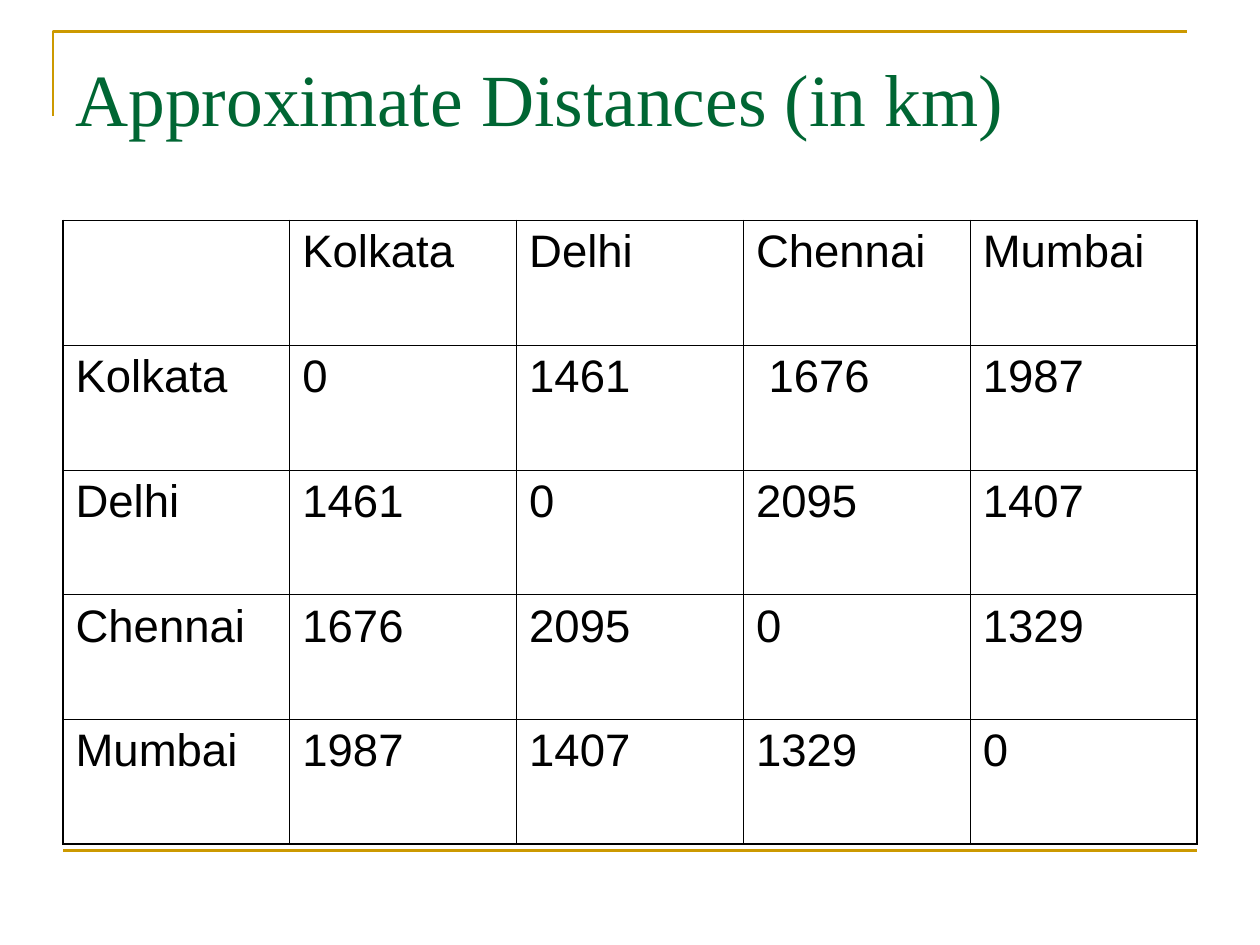
from lxml import etree
from pptx import Presentation
from pptx import util as u
from pptx.dml.color import RGBColor
from pptx.enum import shapes, text
from pptx.oxml import ns

GOLD, GREEN, BLACK = "CC9900", "006633", "000000"
OUTER, INNER = 1.08, 0.45  # border widths in points


def write(frame, words, font, size, color, top=0.05):
    frame.word_wrap = True
    frame.vertical_anchor = text.MSO_ANCHOR.TOP
    frame.margin_left = frame.margin_right = u.Inches(0.1)
    frame.margin_top, frame.margin_bottom = u.Inches(top), u.Inches(0.05)
    run = frame.paragraphs[0].add_run()
    run.text = words
    run.font.name, run.font.size = font, u.Pt(size)
    run.font.color.rgb = RGBColor.from_string(color)


def add_border(cell, side, points):
    """Draw one side of a cell; side is L, R, T or B, given in that order."""
    line = etree.SubElement(cell._tc.get_or_add_tcPr(), ns.qn(f"a:ln{side}"),
                            w=str(int(u.Pt(points))))
    fill = etree.SubElement(line, ns.qn("a:solidFill"))
    etree.SubElement(fill, ns.qn("a:srgbClr"), val=BLACK)


deck = Presentation()
deck.slide_width, deck.slide_height = u.Inches(10), u.Inches(7.5)
slide = deck.slides.add_slide(deck.slide_layouts[6])
W, H = deck.slide_width, deck.slide_height
left, width = int(W * 0.05), int(W * 0.9)

# Gold rules around the page
outline = slide.shapes.build_freeform(u.Inches(0.42), u.Inches(0.92))
outline.add_line_segments([(u.Inches(0.42), u.Inches(0.25)),
                           (u.Inches(9.42), u.Inches(0.25))], close=False)
corner = outline.convert_to_shape()
corner.shadow.inherit = False
corner.fill.background()
footer = slide.shapes.add_connector(shapes.MSO_CONNECTOR.STRAIGHT,
                                    left, int(H * 0.9), left + width, int(H * 0.9))
etree.SubElement(footer._element.spPr, ns.qn("a:effectLst"))
for rule in (corner, footer):
    rule.line.color.rgb = RGBColor.from_string(GOLD)
    rule.line.width = u.Pt(1.5)

title = slide.shapes.add_textbox(left, int(H * 0.04), width, u.Inches(1.25))
write(title.text_frame, "Approximate Distances (in km)", "Times New Roman", 42, GREEN,
      top=0.12)

# Distance table
distances = [
    ["", "Kolkata", "Delhi", "Chennai", "Mumbai"],
    ["Kolkata", "0", "1461", " 1676", "1987"],
    ["Delhi", "1461", "0", "2095", "1407"],
    ["Chennai", "1676", "2095", "0", "1329"],
    ["Mumbai", "1987", "1407", "1329", "0"],
]
last = len(distances) - 1
grid = slide.shapes.add_table(last + 1, last + 1, left, u.Inches(1.75),
                              width, u.Inches(4.95)).table
grid.first_row = grid.horz_banding = False
for r, row in enumerate(distances):
    for c, words in enumerate(row):
        cell = grid.cell(r, c)
        if words:
            write(cell.text_frame, words, "Arial", 26, BLACK)
        edges = {"L": c == 0, "R": c == last, "T": r == 0, "B": r == last}
        for side, outside in edges.items():
            add_border(cell, side, OUTER if outside else INNER)
        cell.fill.background()

deck.save("out.pptx")
